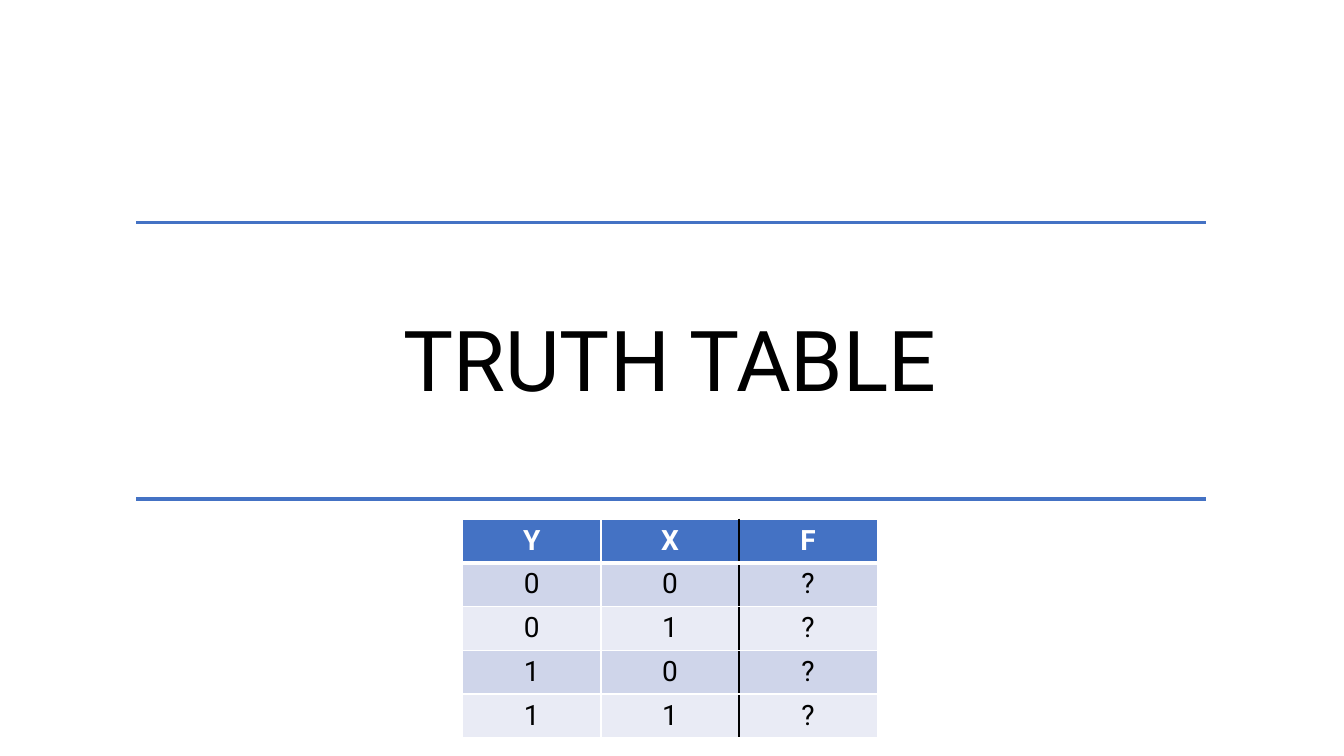
from dataclasses import dataclass

from lxml import etree
from pptx import Presentation
from pptx.dml.color import RGBColor
from pptx.enum import shapes, text
from pptx.oxml import ns
from pptx.util import Inches, Pt

TITLE = "TRUTH TABLE"
ROWS = [
    ("Y", "X", "F"),
    ("0", "0", "?"),
    ("0", "1", "?"),
    ("1", "0", "?"),
    ("1", "1", "?"),
]


@dataclass(frozen=True)
class Theme:
    font: str = "Roboto"
    accent: str = "4472C4"
    bands: tuple = ("CFD5EA", "E9EBF5")
    dark: str = "000000"
    light: str = "FFFFFF"
    title_size: int = 60
    cell_size: int = 20


THEME = Theme()
RULE_LEFT, RULE_RIGHT = 1.35, 11.96
RULE_TOPS = (2.21, 4.95)
TABLE_LEFT, TABLE_TOP = 4.59, 5.15
COL_WIDTH, ROW_HEIGHT = 1.37, 0.43


def style_paragraph(p, size, color, bold=False):
    p.alignment = text.PP_ALIGN.CENTER
    p.font.name = THEME.font
    p.font.size = Pt(size)
    p.font.bold = bold
    p.font.color.rgb = RGBColor.from_string(color)


def add_rule(s, top):
    line = s.shapes.add_connector(
        shapes.MSO_CONNECTOR.STRAIGHT,
        Inches(RULE_LEFT), Inches(top), Inches(RULE_RIGHT), Inches(top))
    line.line.color.rgb = RGBColor.from_string(THEME.accent)
    line.line.width = Pt(2.5)
    etree.SubElement(line._element.spPr, ns.qn("a:effectLst"))


def add_title(s):
    title = s.shapes.title
    title.left, title.top = Inches(-0.02), Inches(3)
    title.width, title.height = Inches(13.33), Inches(1.11)
    tf = title.text_frame
    tf.text = TITLE
    tf.word_wrap = True
    tf.auto_size = text.MSO_AUTO_SIZE.SHAPE_TO_FIT_TEXT
    p = tf.paragraphs[0]
    p.line_spacing = 1.0
    style_paragraph(p, THEME.title_size, THEME.dark)


def set_borders(cell, borders):
    """Put (side, colour, points) borders before the fill, as the schema asks."""
    tc_pr = cell._tc.get_or_add_tcPr()
    for i, (side, color, width) in enumerate(borders):
        ln = etree.Element(ns.qn(f"a:ln{side}"), w=str(Pt(width)))
        fill = etree.SubElement(ln, ns.qn("a:solidFill"))
        etree.SubElement(fill, ns.qn("a:srgbClr"), val=color)
        tc_pr.insert(i, ln)


def add_truth_table(s):
    n_rows, n_cols = len(ROWS), len(ROWS[0])
    table = s.shapes.add_table(
        n_rows, n_cols, Inches(TABLE_LEFT), Inches(TABLE_TOP),
        Inches(COL_WIDTH * n_cols), Inches(ROW_HEIGHT * n_rows)).table
    for column in table.columns:
        column.width = Inches(COL_WIDTH)
    output = n_cols - 1
    for r, values in enumerate(ROWS):
        table.rows[r].height = Inches(ROW_HEIGHT)
        header = r == 0
        background = THEME.accent if header else THEME.bands[(r - 1) % 2]
        for c, value in enumerate(values):
            cell = table.cell(r, c)
            cell.text = value
            style_paragraph(cell.text_frame.paragraphs[0], THEME.cell_size,
                            THEME.light if header else THEME.dark, header)
            cell.fill.solid()
            cell.fill.fore_color.rgb = RGBColor.from_string(background)
            set_borders(cell, [
                ("L", THEME.dark if c == output else THEME.light, 1),
                ("R", THEME.dark if c == output - 1 else THEME.light, 1),
                ("T", THEME.light, 3 if r == 1 else 1),
                ("B", THEME.light, 3 if header else 1),
            ])


def main():
    prs = Presentation()
    prs.slide_width, prs.slide_height = Inches(13.33), Inches(7.5)
    s = prs.slides.add_slide(prs.slide_layouts[5])
    for top in RULE_TOPS:
        add_rule(s, top)
    add_title(s)
    add_truth_table(s)
    prs.save("out.pptx")


if __name__ == "__main__":
    main()
